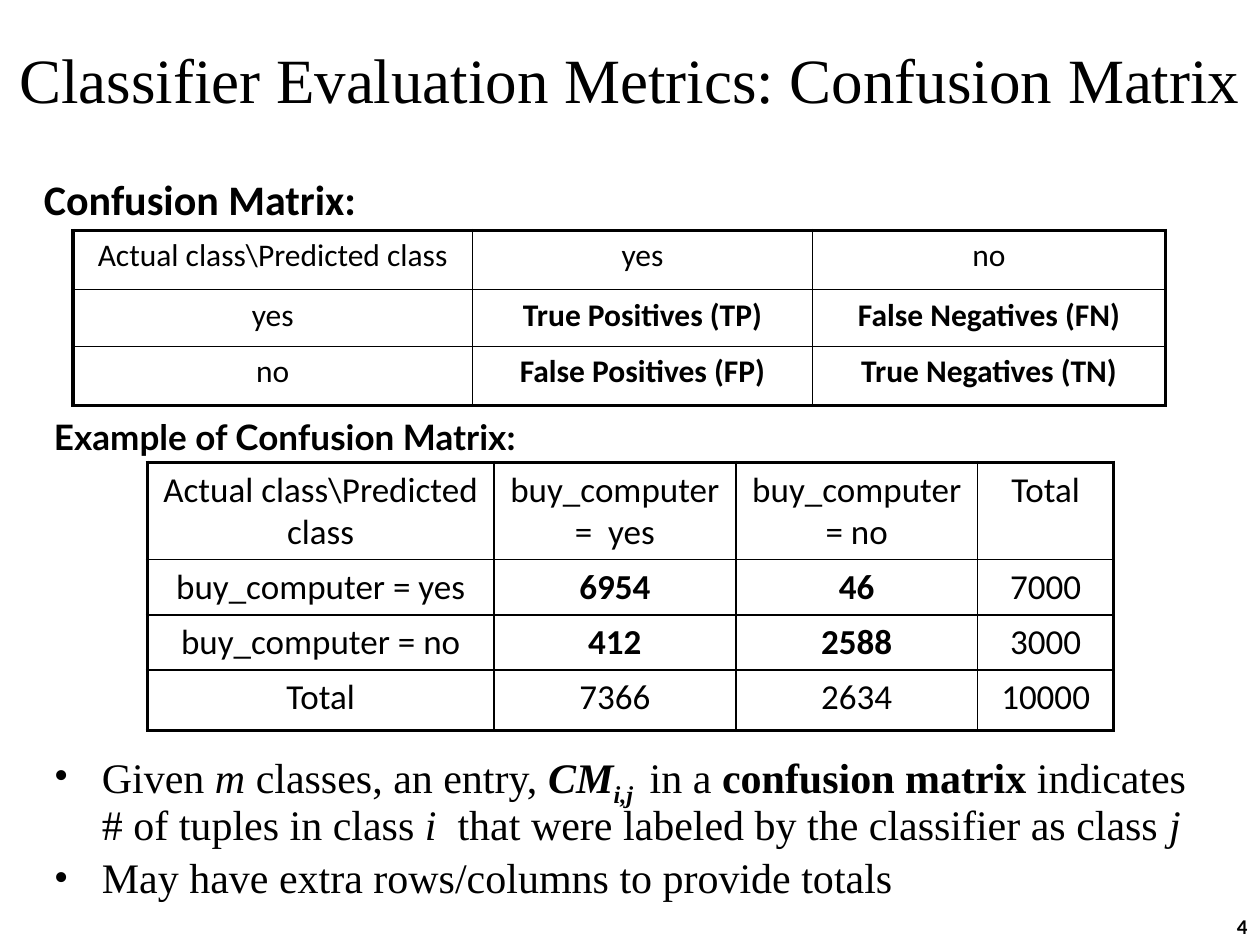
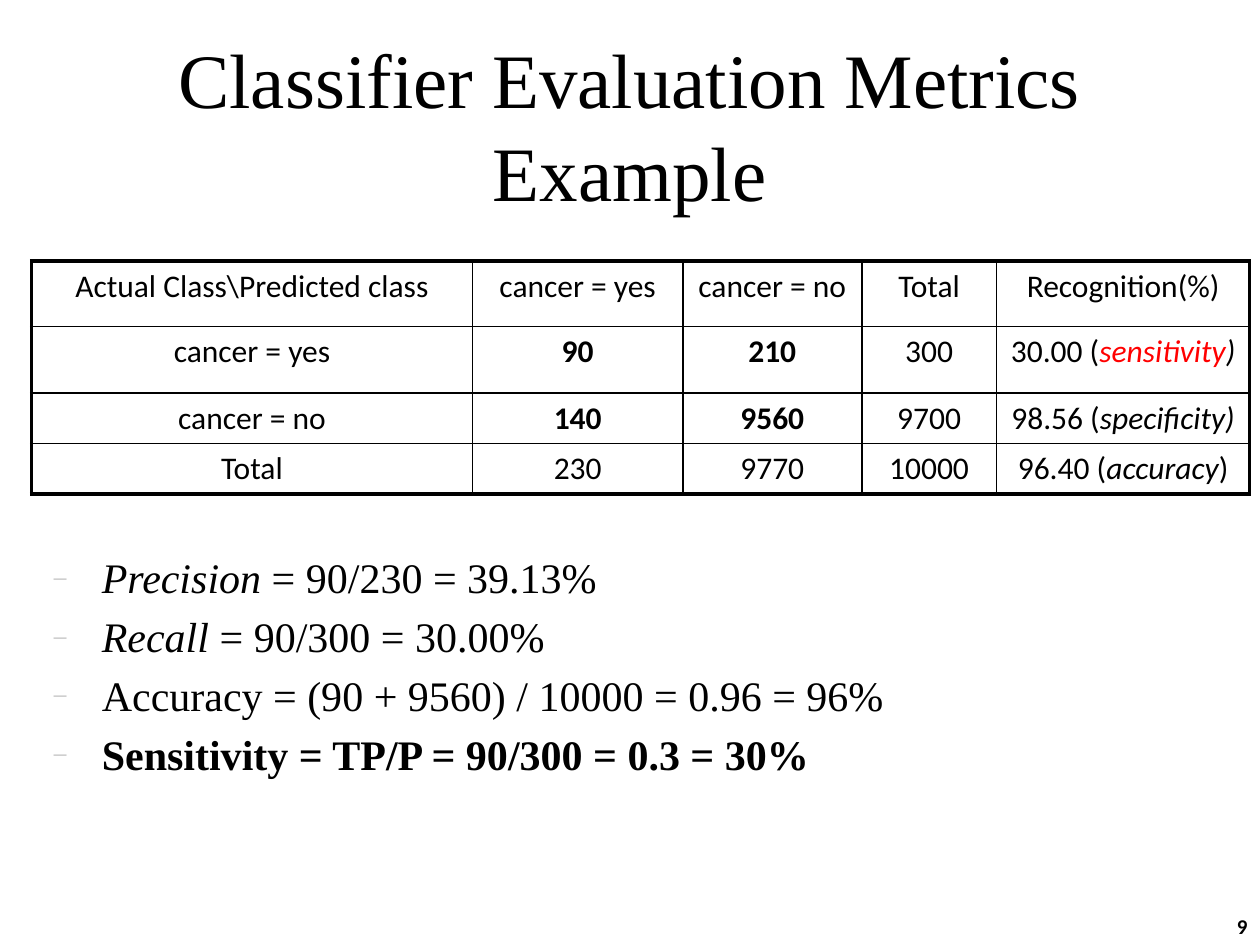
"""Build two slides on the confusion matrix and its metrics."""
from lxml.etree import SubElement as Sub
from pptx import Presentation
from pptx.dml.color import RGBColor as RGB
from pptx.enum.text import MSO_ANCHOR as Anchor, PP_ALIGN as Align
from pptx.oxml.ns import qn
from pptx.util import Inches, Pt

HUES = {"ink": "000000", "alert": "FF0000", "dash": "C0C0C0", "paper": "FFFFFF"}
SERIF, SANS, HEAD = "Times New Roman", "Calibri", "Lato"
THICK, THIN = Pt(2.25), Pt(1)


def write(frame, lines, size=24, font=SERIF, bold=False, align=Align.LEFT,
          anchor=Anchor.TOP, wrap=True, lead=None, gap=None, mark=None, tint=None):
    frame.word_wrap = wrap
    frame.vertical_anchor = anchor
    for n, line in enumerate(lines):
        para = frame.add_paragraph() if n else frame.paragraphs[0]
        para.alignment = align
        if lead:
            para.line_spacing = lead
        if gap:
            para.space_before = Pt(gap)
        if mark:
            props = para._p.get_or_add_pPr()
            props.set("marL", str(Inches(0.38)))
            props.set("indent", str(-Inches(0.38)))
            if tint:
                Sub(Sub(props, qn("a:buClr")), qn("a:srgbClr"), val=HUES[tint])
                Sub(props, qn("a:buSzPct"), val="60000")
            Sub(props, qn("a:buFont"), typeface=SERIF)
            Sub(props, qn("a:buChar"), char=mark)
        for text, style in [(line, "")] if isinstance(line, str) else line:
            if text == "\n":
                para.add_line_break()
                continue
            run = para.add_run()
            run.text = text
            face = run.font
            face.size, face.name = Pt(size), font
            face.bold, face.italic = bold or "b" in style, "i" in style
            face.color.rgb = RGB.from_string(HUES["alert" if "r" in style else "ink"])
            if "s" in style:
                run._r.get_or_add_rPr().set("baseline", "-25000")


def grid(slide, left, top, cols, rows, data, size):
    frame = slide.shapes.add_table(
        len(rows), len(cols), Inches(left), Inches(top),
        Inches(sum(cols)), Inches(sum(rows)))
    table = frame.table
    table.first_row = table.horz_banding = False
    for col, wide in zip(table.columns, cols):
        col.width = Inches(wide)
    for row, high in zip(table.rows, rows):
        row.height = Inches(high)
    for r, items in enumerate(data):
        for c, item in enumerate(items):
            cell = table.cell(r, c)
            write(cell.text_frame, [item], size=size, font=SANS,
                  bold=r in (1, 2) and c in (1, 2), align=Align.CENTER)
            cell.vertical_anchor = Anchor.TOP
            edges = {"L": c == 0, "R": c == len(cols) - 1,
                     "T": r == 0, "B": r == len(rows) - 1}
            for side, outer in edges.items():
                edge = Sub(cell._tc.get_or_add_tcPr(), qn("a:ln" + side),
                           w=str(THICK if outer else THIN))
                Sub(Sub(edge, qn("a:solidFill")), qn("a:srgbClr"), val=HUES["ink"])
            cell.fill.background()


deck = Presentation()
deck.slide_width, deck.slide_height = Inches(10), Inches(7.5)

title = dict(align=Align.CENTER, anchor=Anchor.MIDDLE)
label = dict(font=SANS, bold=True)
foot = dict(label, size=12, align=Align.RIGHT, anchor=Anchor.BOTTOM)
body, corner = (0.33, 9.25), (7.92, 7.08, 2.08, 0.42)

given = [("Given", ""), (" m", "i"), (" classes, an entry, ", ""), ("CM", "bi"),
         ("i,j ", "bis"), (" in a ", ""), ("confusion matrix", "b"),
         (" indicates # of tuples in class ", ""), ("i", "i"),
         ("  that were labeled by the classifier as class ", ""), ("j", "i")]
rates = [[("Precision", "i"), (" = 90/230 = 39.13%", "")],
         [("Recall", "i"), (" = 90/300 = 30.00%", "")],
         "Accuracy = (90 + 9560) / 10000 = 0.96 = 96%",
         [("Sensitivity = TP/P = 90/300 = 0.3 = 30%", "b")]]

pages = [
    {"text": [
        ((0, 0, 10, 1.25), ["Classifier Evaluation Metrics: Confusion Matrix"],
         dict(title, size=36)),
        ((0.25, 1.33, 2.85, 0.5), ["Confusion Matrix:"], label),
        ((0.33, 3.25, 4.35, 0.44), ["Example of Confusion Matrix:"],
         dict(label, size=20, font=HEAD, wrap=False)),
        ((body[0], 5.92, body[1], 1.38),
         [given, "May have extra rows/columns to provide totals"],
         dict(lead=0.9, gap=4.8, mark="•")),
        (corner, ["4"], foot)],
     "grids": [
        (0.58, 1.83, [3.17, 2.7, 2.8], [0.47, 0.45, 0.47],
         [["Actual class\\Predicted class", "yes", "no"],
          ["yes", "True Positives (TP)", "False Negatives (FN)"],
          ["no", "False Positives (FP)", "True Negatives (TN)"]], 18),
        (1.17, 3.67, [2.75, 1.92, 1.92, 1.08], [0.77, 0.44, 0.44, 0.48],
         [["Actual class\\Predicted class", "buy_computer =  yes",
           "buy_computer = no", "Total"],
          ["buy_computer = yes", "6954", "46", "7000"],
          ["buy_computer = no", "412", "2588", "3000"],
          ["Total", "7366", "2634", "10000"]], 20)]},
    {"text": [
        ((0, 0.57, 10, 0.83),
         [[("Classifier Evaluation Metrics", ""), ("\n", ""), ("Example", "")]],
         dict(title, size=44)),
        ((body[0], 4.33, body[1], 2.44), rates, dict(gap=4.8, mark="–", tint="dash")),
        (corner, ["9"], foot)],
     "grids": [
        (0.25, 2.07, [3.5, 1.67, 1.42, 1.07, 2.01], [0.52, 0.53, 0.4, 0.4],
         [["Actual Class\\Predicted class", "cancer = yes", "cancer = no",
           "Total", "Recognition(%)"],
          ["cancer = yes", "90", "210", "300",
           [("30.00 (", ""), ("sensitivity", "ir"), (")", "i")]],
          ["cancer = no", "140", "9560", "9700",
           [("98.56 (", ""), ("specificity)", "i")]],
          ["Total", "230", "9770", "10000",
           [("96.40 (", ""), ("accuracy", "i"), (")", "")]]], 18)]},
]

for page in pages:
    slide = deck.slides.add_slide(deck.slide_layouts[6])
    slide.background.fill.solid()
    slide.background.fill.fore_color.rgb = RGB.from_string(HUES["paper"])
    for at, lines, form in page["text"]:
        box = slide.shapes.add_textbox(*map(Inches, at))
        write(box.text_frame, lines, **form)
    for spot in page["grids"]:
        grid(slide, *spot)

deck.save("out.pptx")
